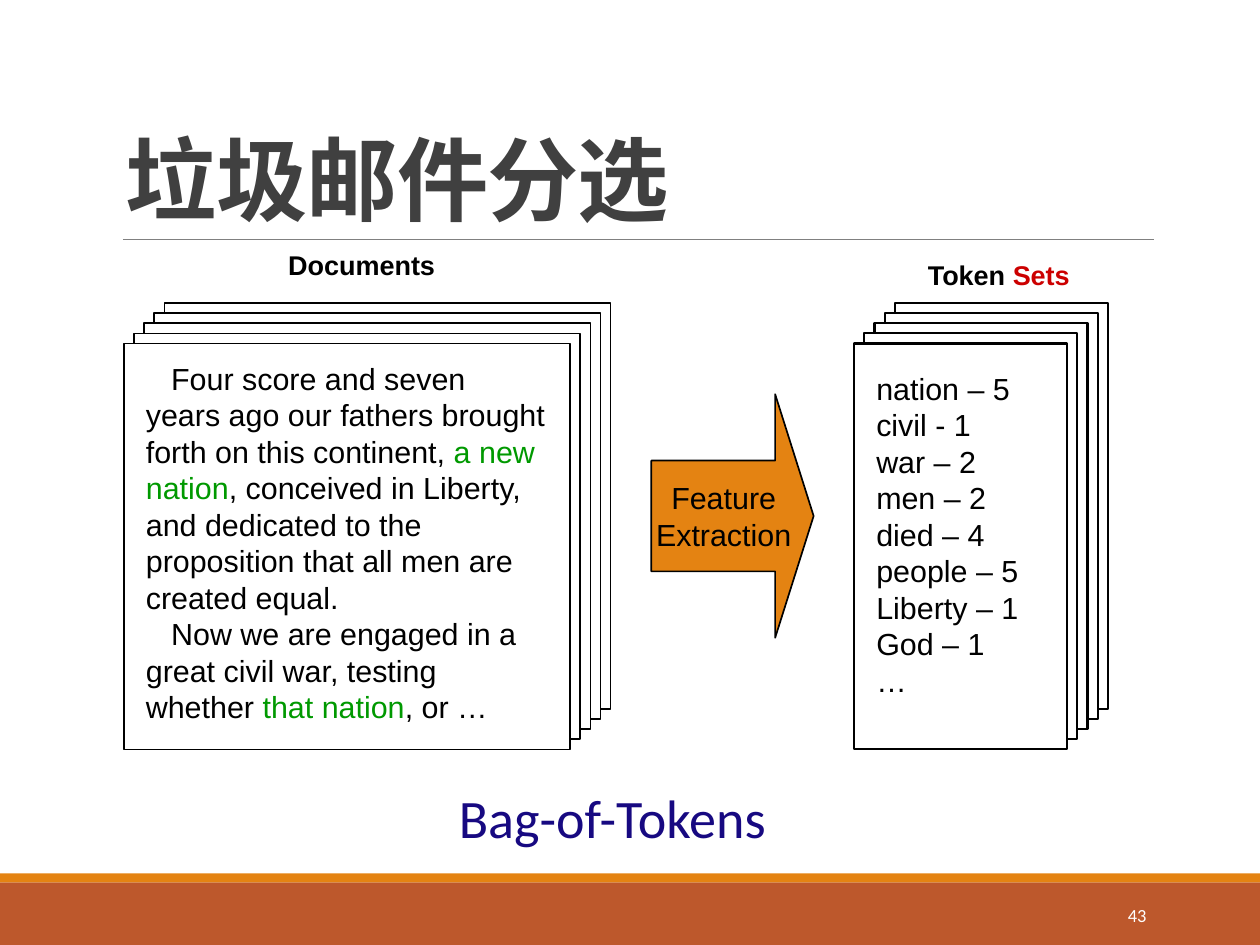
import pptx
import pptx.dml.color
import pptx.enum.shapes
import pptx.enum.text
import pptx.oxml.ns
import pptx.util
from lxml import etree

UNIT = pptx.util.Inches(1) / 12
BLACK, WHITE, ORANGE, GREEN = "000000", "FFFFFF", "E48312", "009900"
SHAPES = pptx.enum.shapes.MSO_SHAPE
ALIGN = pptx.enum.text.PP_ALIGN
ANCHOR = pptx.enum.text.MSO_ANCHOR
SPEECH = [
    [("Four score and seven years ago our fathers brought forth on this continent, ", BLACK),
     ("a new nation", GREEN),
     (", conceived in Liberty, and dedicated to the proposition that all men are created equal.", BLACK)],
    [("Now we are engaged in a great civil war, testing whether ", BLACK),
     ("that nation", GREEN), (", or …", BLACK)],
]
TOKENS = ["nation – 5", "civil - 1", "war – 2", "men – 2", "died – 4",
          "people – 5", "Liberty – 1", "God – 1", "…"]


def grid(*cells):
    """Turn grid columns and rows, twelve to the inch, into lengths."""
    return [pptx.util.Emu(round(cell * UNIT)) for cell in cells]


def color(value):
    """Turn a hex string into a colour."""
    return pptx.dml.color.RGBColor.from_string(value)


def write(shape, paragraphs, size=18, font="Arial", fill=BLACK, bold=False,
          align=ALIGN.LEFT, anchor=ANCHOR.TOP, wrap=True, indent=0,
          line_spacing=None, tracking=0):
    """Write paragraphs, each a string or a list of (text, colour) runs."""
    frame = shape.text_frame
    frame.word_wrap = wrap
    frame.vertical_anchor = anchor
    for index, content in enumerate(paragraphs):
        paragraph = frame.add_paragraph() if index else frame.paragraphs[0]
        paragraph.alignment = align
        if line_spacing:
            paragraph.line_spacing = line_spacing
        if indent:
            paragraph._p.get_or_add_pPr().set("indent", str(pptx.util.Pt(indent)))
        runs = [(content, fill)] if isinstance(content, str) else content
        for text, run_color in runs:
            run = paragraph.add_run()
            run.text = text
            run.font.size = pptx.util.Pt(size)
            run.font.name = font
            run.font.bold = bold
            run.font.color.rgb = color(run_color)
            properties = run._r.get_or_add_rPr()
            etree.SubElement(properties, pptx.oxml.ns.qn("a:ea"), typeface=font)
            if tracking:
                properties.set("spc", str(round(tracking * 100)))


def add_text(slide, cells, paragraphs, **text_format):
    """Add a text box in the given grid cells."""
    write(slide.shapes.add_textbox(*grid(*cells)), paragraphs, **text_format)


def add_block(slide, kind, cells, fill, line_width=0):
    """Add a filled shape, outlined in black when a line width is given."""
    shape = slide.shapes.add_shape(kind, *grid(*cells))
    shape.shadow.inherit = False
    shape.fill.solid()
    shape.fill.fore_color.rgb = color(fill)
    if line_width:
        shape.line.color.rgb = color(BLACK)
        shape.line.width = pptx.util.Pt(line_width)
    else:
        shape.line.fill.background()
    return shape


def add_stack(slide, left, top, width, height, line_width, sheets=5):
    """Add overlapping sheets, the front one at the given corner."""
    for step in reversed(range(sheets)):
        add_block(slide, SHAPES.RECTANGLE, (left + step, top - step, width, height),
                  WHITE, line_width)


def add_rule(slide, left, right, row):
    """Add the thin grey line under the title."""
    rule = slide.shapes.add_connector(pptx.enum.shapes.MSO_CONNECTOR.STRAIGHT,
                                      *grid(left, row, right, row))
    rule.line.color.rgb = color("808080")
    rule.line.width = pptx.util.Pt(0.5)
    etree.SubElement(rule._element.spPr, pptx.oxml.ns.qn("a:effectLst"))


def main():
    """Build the slide and save it."""
    presentation = pptx.Presentation()
    presentation.slide_width, presentation.slide_height = grid(124.2, 93.12)
    slide = presentation.slides.add_slide(presentation.slide_layouts[6])

    add_block(slide, SHAPES.RECTANGLE, (0, 86.95, 124.2, 6.17), "BD582C")
    add_block(slide, SHAPES.RECTANGLE, (0, 86.05, 124.2, 0.9), ORANGE)
    add_rule(slide, 12.12, 113.76, 23.64)
    add_text(slide, (11.2, 3.84, 102.5, 19.7), ["垃圾邮件分选"], size=54,
             font="Noto Sans CJK SC", fill="404040", bold=True,
             anchor=ANCHOR.BOTTOM, line_spacing=0.85, tracking=-0.5)
    add_text(slide, (100.9, 87.75, 13.3, 4.9), ["43"], size=10.9, font="Calibri",
             fill=WHITE, align=ALIGN.RIGHT, anchor=ANCHOR.MIDDLE)

    add_stack(slide, 12.2, 33.85, 44, 40, line_width=1)
    add_text(slide, (13.2, 34.85, 42, 37.2), SPEECH, indent=15)
    add_stack(slide, 84.2, 33.85, 21, 40, line_width=1.25)
    add_text(slide, (85.2, 35.85, 19, 33.6), TOKENS)

    arrow = add_block(slide, SHAPES.RIGHT_ARROW, (64.2, 38.85, 16, 24), ORANGE, 1)
    arrow.adjustments[0], arrow.adjustments[1] = 0.455, 0.237
    write(arrow, ["Feature", "Extraction"], align=ALIGN.CENTER,
          anchor=ANCHOR.MIDDLE, wrap=False)

    heading = {"size": 16, "bold": True, "align": ALIGN.CENTER, "wrap": False}
    add_text(slide, (27.2, 23.85, 16.9, 4.4), ["Documents"], **heading)
    add_text(slide, (90.1, 24.85, 16.7, 4.4),
             [[("Token ", BLACK), ("Sets", "CC0000")]], **heading)
    add_text(slide, (44.05, 76.7, 33.1, 7.7), ["Bag-of-Tokens"], size=32,
             font="Calibri", fill="170981", wrap=False)
    presentation.save("out.pptx")


if __name__ == "__main__":
    main()
